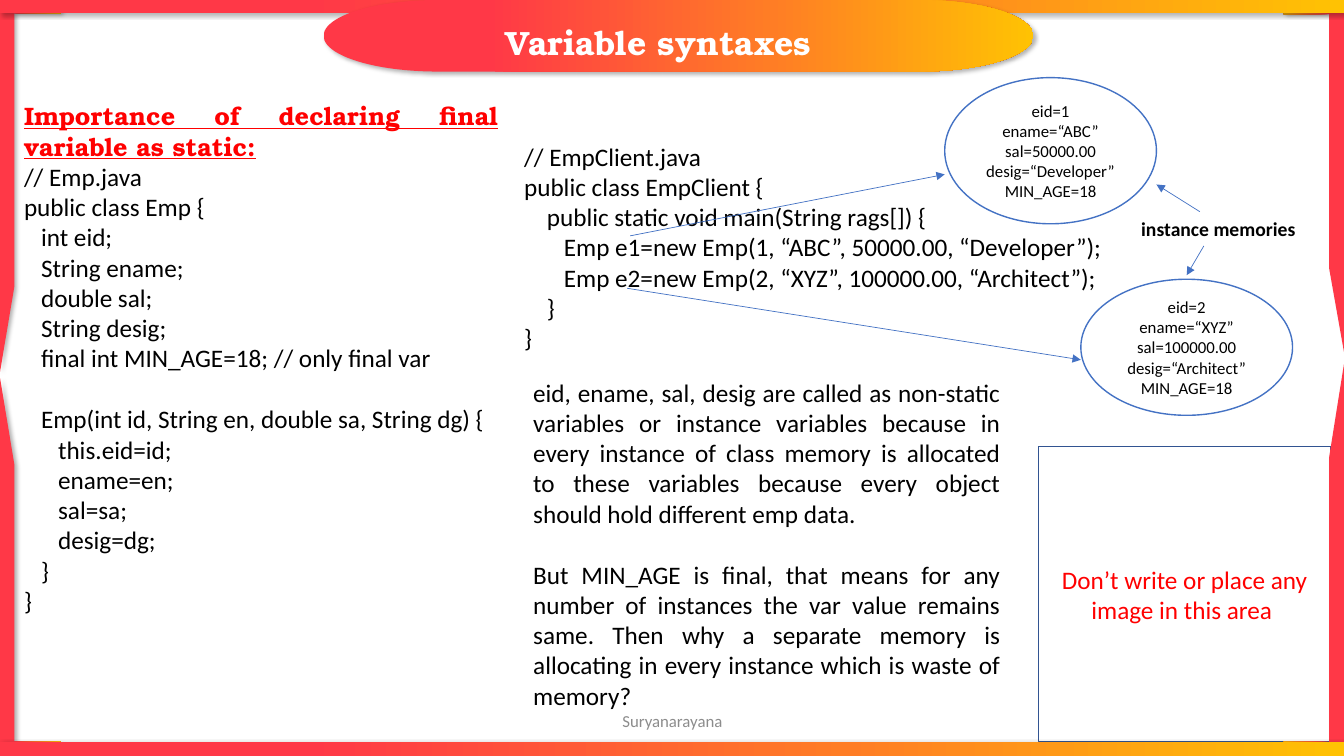
"""Build the slide on declaring a final variable as static."""
from pptx import Presentation
from pptx.dml.color import RGBColor
from pptx.enum.shapes import MSO_CONNECTOR as CONN, MSO_SHAPE as SHAPE
from pptx.enum.text import MSO_ANCHOR as ANCHOR, PP_ALIGN as ALIGN
from pptx.oxml import parse_xml
from pptx.oxml.ns import nsdecls, qn
from pptx.util import Inches, Pt

COLORS = {
    "red": "FF3847", "orange": "FF7D25", "yellow": "FFC203",
    "alert": "FF0000", "white": "FFFFFF", "black": "000000",
    "blue": "4472C4", "navy": "325491", "gray": "8C8C8C",
}
RGB = {name: RGBColor.from_string(value) for name, value in COLORS.items()}
NS = nsdecls("a")
STOPS = "".join(
    f'<a:gs pos="{pos}000"><a:srgbClr val="{COLORS[name]}"/></a:gs>'
    for pos, name in [(23, "red"), (63, "orange"), (100, "yellow")])
GRADIENT = (f'<a:gradFill {NS} rotWithShape="1"><a:gsLst>{STOPS}</a:gsLst>'
            '<a:lin ang="0" scaled="0"/></a:gradFill>')
SHADOW = (f'<a:effectLst {NS}><a:outerShdw blurRad="{Pt(3)}" dist="{Pt(2.1)}" '
          f'dir="{39 * 60000}" algn="tl" rotWithShape="0">'
          f'<a:srgbClr val="{COLORS["black"]}"><a:alpha val="29000"/></a:srgbClr>'
          '</a:outerShdw></a:effectLst>')

prs = Presentation()
prs.slide_width, prs.slide_height = Inches(13.33), Inches(7.5)
s = prs.slides.add_slide(prs.slide_layouts[6])


def add_band(kind, x, y, w, h, adj=(), rotation=0, flip=False):
    sp = s.shapes.add_shape(kind, Inches(x), Inches(y), Inches(w), Inches(h))
    for i, value in enumerate(adj):
        sp.adjustments[i] = value
    sp.rotation = rotation
    spPr = sp.element.spPr
    if flip:
        spPr.find(qn("a:xfrm")).set("flipH", "1")
    spPr.append(parse_xml(GRADIENT))
    sp.line.fill.background()
    spPr.append(parse_xml(SHADOW))


def write(sp, lines, size=18, color="black", font="Calibri", bold=False,
          align=ALIGN.LEFT, anchor=ANCHOR.TOP, wrap=True):
    tf = sp.text_frame
    tf.word_wrap, tf.vertical_anchor = wrap, anchor
    for i, line in enumerate(lines):
        p = tf.paragraphs[0] if i == 0 else tf.add_paragraph()
        p.alignment = align
        r = p.add_run()
        r.text = line
        r.font.size, r.font.name, r.font.bold = Pt(size), font, bold
        r.font.color.rgb = RGB[color]
    return tf.paragraphs


add_band(SHAPE.HALF_FRAME, 0, 0, 0.62, 3.69, (0.218, 0.228))
add_band(SHAPE.HALF_FRAME, 12.71, 0, 0.62, 3.49, (0.228, 0.239), flip=True)
add_band(SHAPE.HALF_FRAME, 0, 3.75, 0.62, 3.75, (0.239, 0.228), 180, True)
add_band(SHAPE.RECTANGLE, 0, -0.01, 13.33, 0.14)
add_band(SHAPE.FLOWCHART_TERMINATOR, 3.21, 0, 7.04, 0.71)

title = s.shapes.add_textbox(Inches(3.32), Inches(0.17), Inches(6.42), Inches(0.5))
write(title, ["Variable syntaxes"], 24, "white", "TeX Gyre Bonum", True, ALIGN.CENTER)

notice = s.shapes.add_shape(SHAPE.RECTANGLE, Inches(10.3), Inches(4.43),
                            Inches(2.9), Inches(2.93))
notice.shadow.inherit = False
notice.fill.solid()
notice.fill.fore_color.rgb = RGB["white"]
notice.line.color.rgb, notice.line.width = RGB["navy"], Pt(1)
write(notice, ["Don’t write or place any image in this area "], color="alert",
      align=ALIGN.CENTER, anchor=ANCHOR.MIDDLE)

add_band(SHAPE.HALF_FRAME, 12.71, 3.61, 0.62, 3.89, (0.228, 0.239), 180)
add_band(SHAPE.RECTANGLE, 0, 7.36, 13.33, 0.14)

emp = s.shapes.add_textbox(Inches(0.14), Inches(0.95), Inches(4.9), Inches(5.25))
emp_lines = write(emp, [
    "Importance of declaring final variable as static:",
    "// Emp.java",
    "public class Emp {",
    "   int eid;",
    "   String ename;",
    "   double sal;",
    "   String desig;",
    "   final int MIN_AGE=18; // only final var",
    "   Emp(int id, String en, double sa, String dg) {",
    "      this.eid=id;",
    "      ename=en;",
    "      sal=sa;",
    "      desig=dg;",
    "   }",
    "}",
], align=ALIGN.JUSTIFY)
heading = emp_lines[0].runs[0].font
heading.name, heading.bold, heading.underline = "TeX Gyre Bonum", True, True
heading.color.rgb = RGB["alert"]
emp_lines[8].space_before = Pt(22)

client = s.shapes.add_textbox(Inches(5.1), Inches(1.35), Inches(6.37), Inches(2.22))
write(client, [
    "// EmpClient.java",
    "public class EmpClient {",
    "    public static void main(String rags[]) {",
    "       Emp e1=new Emp(1, “ABC”, 50000.00, “Developer”);",
    "       Emp e2=new Emp(2, “XYZ”, 100000.00, “Architect”);",
    "    }",
    "}",
], align=ALIGN.JUSTIFY)

instances = [
    (9.37, 0.77, 1.45, ["eid=1", "ename=“ABC”", "sal=50000.00",
                        "desig=“Developer”", "MIN_AGE=18"]),
    (10.72, 2.77, 1.35, ["eid=2", "ename=“XYZ”", "sal=100000.00",
                         "desig=“Architect”", "MIN_AGE=18"]),
]
for x, y, h, fields in instances:
    sp = s.shapes.add_shape(SHAPE.OVAL, Inches(x), Inches(y), Inches(2.1), Inches(h))
    sp.shadow.inherit = False
    sp.fill.solid()
    sp.fill.fore_color.rgb = RGB["white"]
    sp.line.color.rgb, sp.line.width = RGB["blue"], Pt(1)
    sp.text_frame.margin_left = sp.text_frame.margin_right = Inches(0)
    write(sp, fields, 12, align=ALIGN.CENTER, anchor=ANCHOR.MIDDLE)

note = s.shapes.add_textbox(Inches(5.19), Inches(3.69), Inches(4.83), Inches(3.43))
note_lines = write(note, [
    "eid, ename, sal, desig are called as non-static variables or instance "
    "variables because in every instance of class memory is allocated to these "
    "variables because every object should hold different emp data.",
    "But MIN_AGE is final, that means for any number of instances the var value "
    "remains same. Then why a separate memory is allocating in every instance "
    "which is waste of memory?",
], align=ALIGN.JUSTIFY)
note_lines[1].space_before = Pt(22)

label = s.shapes.add_textbox(Inches(11.22), Inches(2.1), Inches(1.74), Inches(0.34))
write(label, ["instance memories"], 14, bold=True, wrap=False)

arrows = [
    (6.25, 2.34, 9.37, 1.73),
    (6.22, 2.86, 10.72, 3.57),
    (11.9, 2.1, 11.47, 1.83),
    (11.94, 2.44, 11.77, 2.73),
]
for ends in arrows:
    arrow = s.shapes.add_connector(CONN.STRAIGHT, *[Inches(v) for v in ends])
    arrow.line.color.rgb, arrow.line.width = RGB["blue"], Pt(0.5)
    arrow.line._get_or_add_ln().append(parse_xml(f'<a:tailEnd {NS} type="triangle"/>'))
    arrow.element.spPr.append(parse_xml(f"<a:effectLst {NS}/>"))

footer = s.shapes.add_textbox(Inches(4.42), Inches(6.95), Inches(4.5), Inches(0.4))
write(footer, ["Suryanarayana"], 12, "gray", align=ALIGN.CENTER, anchor=ANCHOR.MIDDLE)

prs.save("out.pptx")
